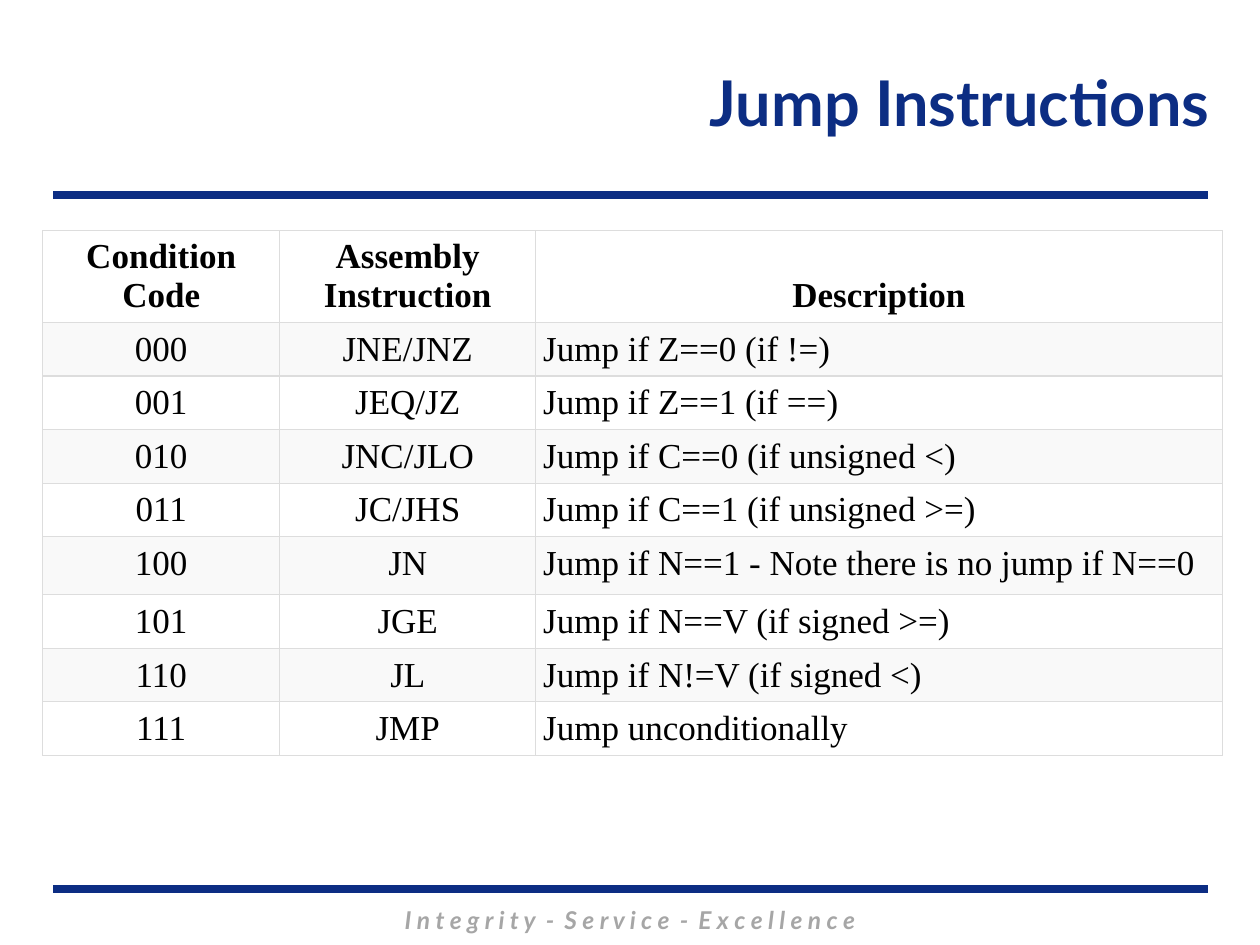
from lxml import etree
from pptx import Presentation
from pptx.dml.color import RGBColor
from pptx.enum.shapes import MSO_CONNECTOR
from pptx.enum.text import MSO_ANCHOR, PP_ALIGN
from pptx.oxml.ns import qn
from pptx.util import Cm, Pt

LEFT, CENTER, RIGHT = PP_ALIGN.LEFT, PP_ALIGN.CENTER, PP_ALIGN.RIGHT
TOP, MIDDLE, BOTTOM = MSO_ANCHOR.TOP, MSO_ANCHOR.MIDDLE, MSO_ANCHOR.BOTTOM
STRAIGHT = MSO_CONNECTOR.STRAIGHT

# Content
TITLE = "Jump Instructions"
DASH = " -"
MOTTO = ("I n t e g r i t y", DASH, " S e r v i c e", DASH,
         " E x c e l l e n c e")
HEADER = ("Condition Code", "Assembly Instruction", "Description")
JUMPS = [
    ("000", "JNE/JNZ", "Jump if Z==0 (if !=)"),
    ("001", "JEQ/JZ", "Jump if Z==1 (if ==)"),
    ("010", "JNC/JLO", "Jump if C==0 (if unsigned <)"),
    ("011", "JC/JHS", "Jump if C==1 (if unsigned >=)"),
    ("100", "JN", "Jump if N==1 - Note there is no jump if N==0"),
    ("101", "JGE", "Jump if N==V (if signed >=)"),
    ("110", "JL", "Jump if N!=V (if signed <)"),
    ("111", "JMP", "Jump unconditionally"),
]

THEME = {
    "navy": "0C2D83", "grey": "A6A6A6", "ink": "000000",
    "plain": "FFFFFF", "band": "F9F9F9", "border": "DDDDDD",
    "sans": "Lato", "serif": "Times New Roman",
    "title": 36, "table": 20, "motto": 14, "rule": 4.5, "hairline": 0.75,
    "dash spacing": 2.7,
}

# Layout in centimetres
RULE_LEFT, RULE_RIGHT = 1.07, 24.36
RULE_HEIGHTS = (3.93, 17.93)
TABLE_LEFT, TABLE_TOP = 0.86, 4.65
COLUMNS = (4.78, 5.16, 13.84)
HEADER_HEIGHT, ROW_HEIGHT, NOTE_HEIGHT = 1.85, 1.08, 1.17
CELL_MARGIN = 0.15


def color(name):
    return RGBColor.from_string(THEME[name])


def write(para, texts, face, size, ink, align, bold=False, italic=False):
    para.alignment = align
    for text in texts:
        span = para.add_run()
        span.text = text
        if text == DASH:  # wider gaps around the dash
            spacing = round(THEME["dash spacing"] * 100)
            span._r.get_or_add_rPr().set("spc", str(spacing))
    font = para.font
    font.name, font.size = THEME[face], Pt(THEME[size])
    font.bold, font.italic = bold, italic
    font.color.rgb = color(ink)


def add_box(page, left, top, width, height, anchor):
    box = page.shapes.add_textbox(Cm(left), Cm(top), Cm(width), Cm(height))
    box.text_frame.word_wrap = True
    box.text_frame.vertical_anchor = anchor
    return box.text_frame.paragraphs[0]


def add_rule(page, y):
    rule = page.shapes.add_connector(
        STRAIGHT, Cm(RULE_LEFT), Cm(y), Cm(RULE_RIGHT), Cm(y))
    rule.line.color.rgb = color("navy")
    rule.line.width = Pt(THEME["rule"])
    etree.SubElement(rule._element.spPr, qn("a:effectLst"))


def add_borders(cell):
    properties = cell._tc.get_or_add_tcPr()
    for side in ("lnL", "lnR", "lnT", "lnB"):
        line = etree.SubElement(properties, qn(f"a:{side}"),
                                w=str(Pt(THEME["hairline"])))
        fill = etree.SubElement(line, qn("a:solidFill"))
        etree.SubElement(fill, qn("a:srgbClr"), val=THEME["border"])


def add_jump_table(page):
    rows = [HEADER, *JUMPS]
    heights = [HEADER_HEIGHT] + [
        NOTE_HEIGHT if "Note" in jump[2] else ROW_HEIGHT for jump in JUMPS]
    table = page.shapes.add_table(
        len(rows), len(COLUMNS), Cm(TABLE_LEFT), Cm(TABLE_TOP),
        Cm(sum(COLUMNS)), Cm(sum(heights))).table
    for column, width in zip(table.columns, COLUMNS):
        column.width = Cm(width)
    for r, (texts, height) in enumerate(zip(rows, heights)):
        table.rows[r].height = Cm(height)
        is_header = r == 0
        for c, text in enumerate(texts):
            cell = table.cell(r, c)
            cell.margin_left = cell.margin_right = Cm(CELL_MARGIN)
            # Only the anchored side needs a margin; row heights do the rest
            cell.margin_top = Cm(0 if is_header else CELL_MARGIN)
            cell.margin_bottom = Cm(CELL_MARGIN if is_header else 0)
            cell.vertical_anchor = BOTTOM if is_header else TOP
            add_borders(cell)
            cell.fill.solid()
            cell.fill.fore_color.rgb = color("band" if r % 2 else "plain")
            align = CENTER if is_header or c < 2 else LEFT
            write(cell.text_frame.paragraphs[0], [text], "serif", "table",
                  "ink", align, bold=is_header)


def main():
    deck = Presentation()
    deck.slide_width, deck.slide_height = Cm(25.4), Cm(19.05)
    page = deck.slides.add_slide(deck.slide_layouts[6])

    # Rules and motto
    for y in RULE_HEIGHTS:
        add_rule(page, y)
    write(add_box(page, 3.6, 18.11, 18.2, 0.86, TOP), MOTTO,
          "sans", "motto", "grey", CENTER, bold=True, italic=True)

    # Title
    write(add_box(page, 5.08, 0.51, 19.55, 3.05, MIDDLE), [TITLE],
          "sans", "title", "navy", RIGHT, bold=True)

    # Jump table
    add_jump_table(page)
    deck.save("out.pptx")


if __name__ == "__main__":
    main()
